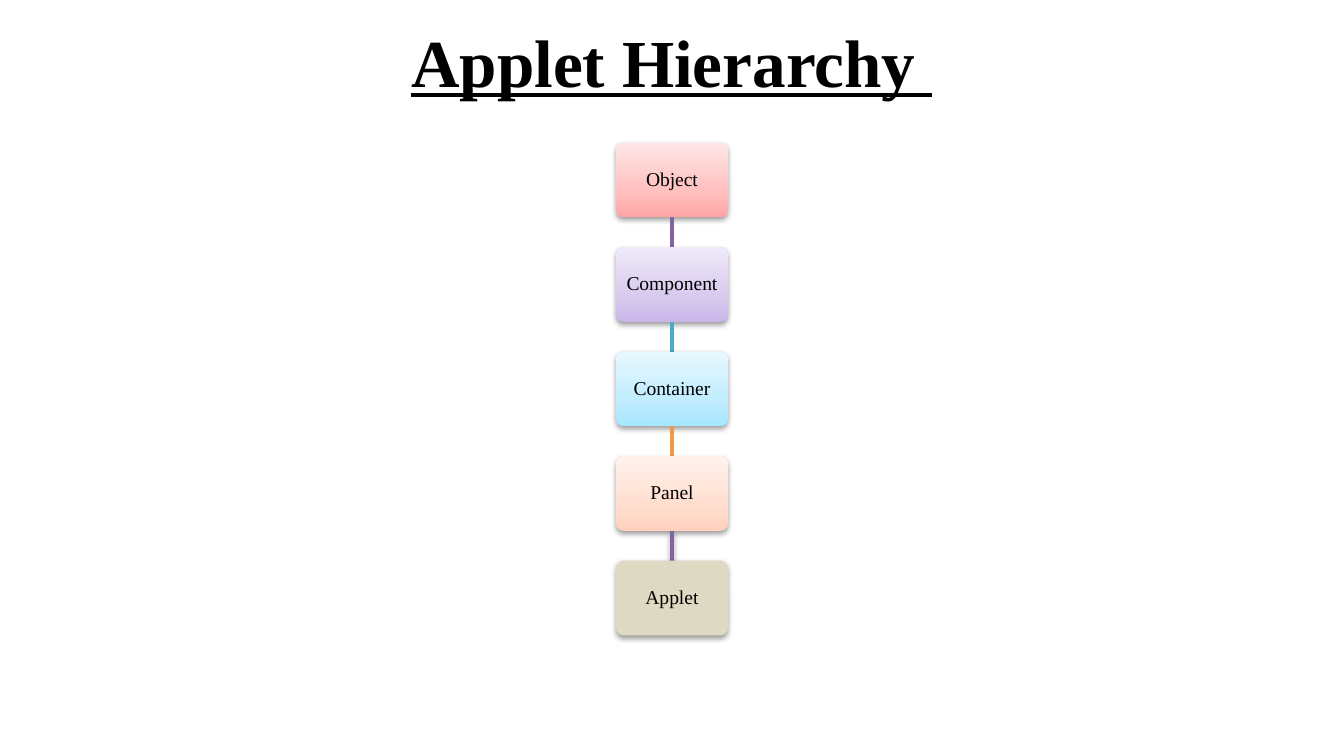
from copy import deepcopy
from dataclasses import dataclass

from pptx import Presentation
from pptx import util as u
from pptx.dml.color import RGBColor
from pptx.enum import shapes, text
from pptx.oxml import parse_xml
from pptx.oxml.ns import nsdecls, qn

Pt = u.Pt


@dataclass(frozen=True)
class Theme:
    font: str = "Times New Roman"
    ink: str = "000000"
    title_size: float = 36
    label_size: float = 10.5
    red: tuple = ("FFA6A5", "FFC0BF", "FFE7E7")
    violet: tuple = ("C9B5E8", "D8CBEE", "F0EAF9")
    blue: tuple = ("A7E6FF", "C1EDFF", "E7F8FF")
    peach: tuple = ("FFD2BD", "FFDED0", "FFF2ED")
    sand: tuple = ("DDD9C3",)
    purple_line: str = "8064A2"
    teal_line: str = "4BACC6"
    orange_line: str = "F79646"


class SlideBuilder:
    def __init__(self, slide, theme):
        self.s, self.theme = slide, theme

    def label(self, sp, words, size, inset, bold=False, underline=False):
        tf = sp.text_frame
        tf.word_wrap = True
        tf.vertical_anchor = text.MSO_ANCHOR.MIDDLE
        tf.margin_left = tf.margin_right = Pt(inset)
        tf.margin_top = tf.margin_bottom = Pt(3.6)
        p = tf.paragraphs[0]
        p.text = words
        p.alignment = text.PP_ALIGN.CENTER
        f = p.font
        f.name, f.size, f.bold, f.underline = self.theme.font, Pt(size), bold, underline
        f.color.rgb = RGBColor.from_string(self.theme.ink)
        return p

    def title(self, words, x, y, w, h):
        sp = self.s.shapes.add_textbox(Pt(x), Pt(y), Pt(w), Pt(h))
        self.label(sp, words, self.theme.title_size, 7.2, bold=True, underline=True)

    def effects(self, sp, shadow):
        """Replace the inherited effects with a soft drop shadow or with none."""
        drop = ('<a:outerShdw blurRad="%d" dist="%d" dir="5400000" rotWithShape="0">'
                '<a:srgbClr val="000000"><a:alpha val="38000"/></a:srgbClr>'
                '</a:outerShdw>' % (Pt(3.1), Pt(1.6))) if shadow else ""
        sp._element.spPr.append(parse_xml(
            "<a:effectLst %s>%s</a:effectLst>" % (nsdecls("a"), drop)))

    def box(self, words, colors, x, y, w, h):
        sp = self.s.shapes.add_shape(
            shapes.MSO_SHAPE.ROUNDED_RECTANGLE, Pt(x), Pt(y), Pt(w), Pt(h))
        sp.adjustments[0] = 0.1
        if len(colors) == 1:
            sp.fill.solid()
            sp.fill.fore_color.rgb = RGBColor.from_string(colors[0])
        else:
            sp.fill.gradient()
            sp.fill.gradient_angle = 90
            stops = sp._element.spPr.find(".//" + qn("a:gsLst"))
            stops.append(deepcopy(stops[0]))
            for stop, color, at in zip(sp.fill.gradient_stops, colors, (0, 0.35, 1)):
                stop.color.rgb = RGBColor.from_string(color)
                stop.position = at
        sp.line.fill.background()
        self.effects(sp, shadow=True)
        p = self.label(sp, words, self.theme.label_size, 4)
        p.line_spacing = 0.9

    def link(self, color, x, y1, y2, shadow):
        ln = self.s.shapes.add_connector(
            shapes.MSO_CONNECTOR.STRAIGHT, Pt(x), Pt(y1), Pt(x), Pt(y2))
        ln.line.width = Pt(2)
        ln.line.color.rgb = RGBColor.from_string(color)
        self.effects(ln, shadow)


prs = Presentation()
prs.slide_width, prs.slide_height = Pt(720), Pt(405)
theme = Theme()
slide = SlideBuilder(prs.slides.add_slide(prs.slide_layouts[6]), theme)

# Title
slide.title("Applet Hierarchy ", 36, -1.4, 648, 67.7)

# Class chain: name, box colours, colour of the line down to the next class
chain = [
    ("Object", theme.red, theme.purple_line),
    ("Component", theme.violet, theme.teal_line),
    ("Container", theme.blue, theme.orange_line),
    ("Panel", theme.peach, theme.purple_line),
    ("Applet", theme.sand, None),
]
BOX_W, BOX_H, TOP, PITCH, CENTER = 60, 40, 76.4, 56, 360
for i, (name, colors, line) in enumerate(chain):
    y = TOP + i * PITCH
    slide.box(name, colors, CENTER - BOX_W / 2, y, BOX_W, BOX_H)
    if line:
        slide.link(line, CENTER, y + BOX_H, y + PITCH, shadow=name == "Panel")

prs.save("out.pptx")
